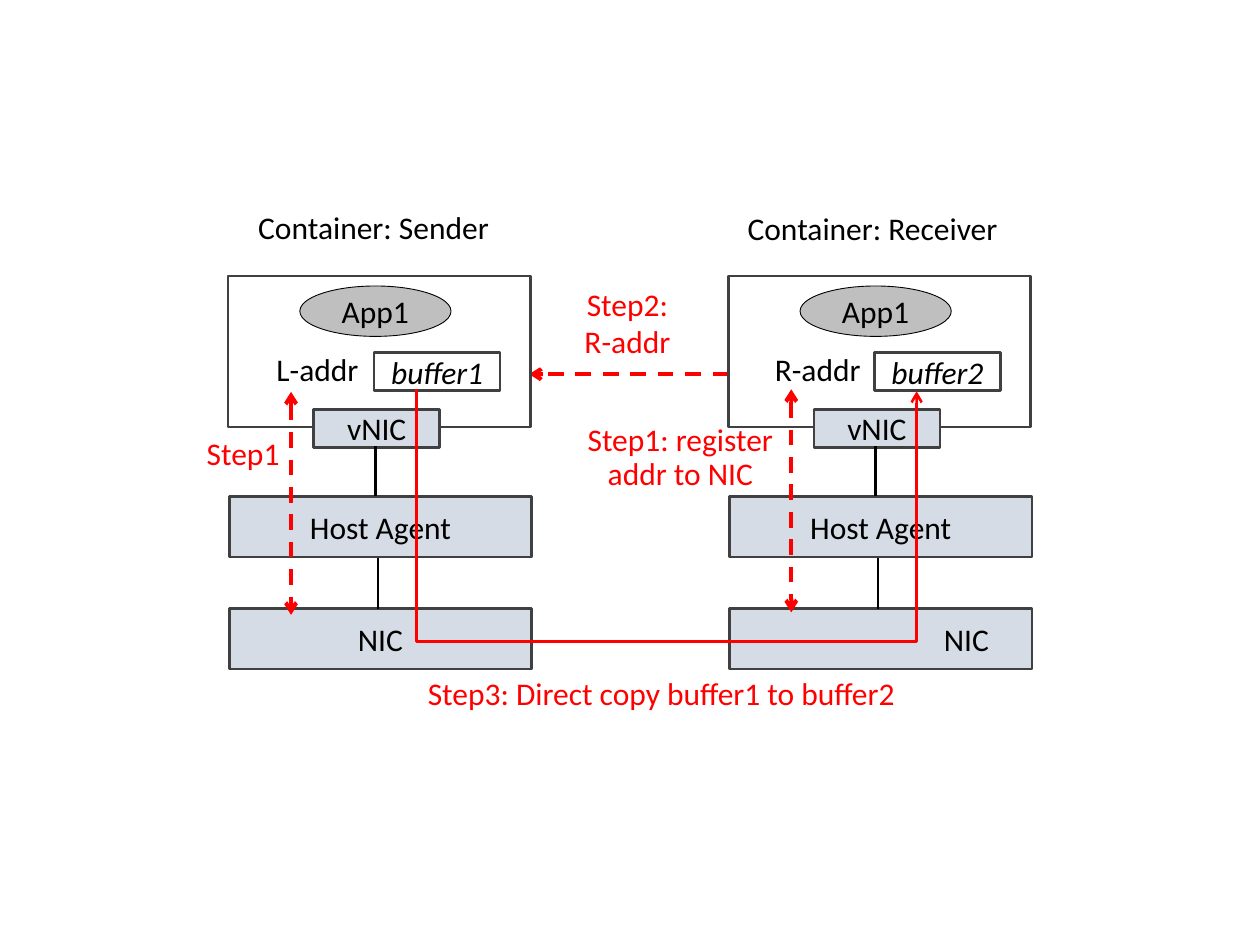
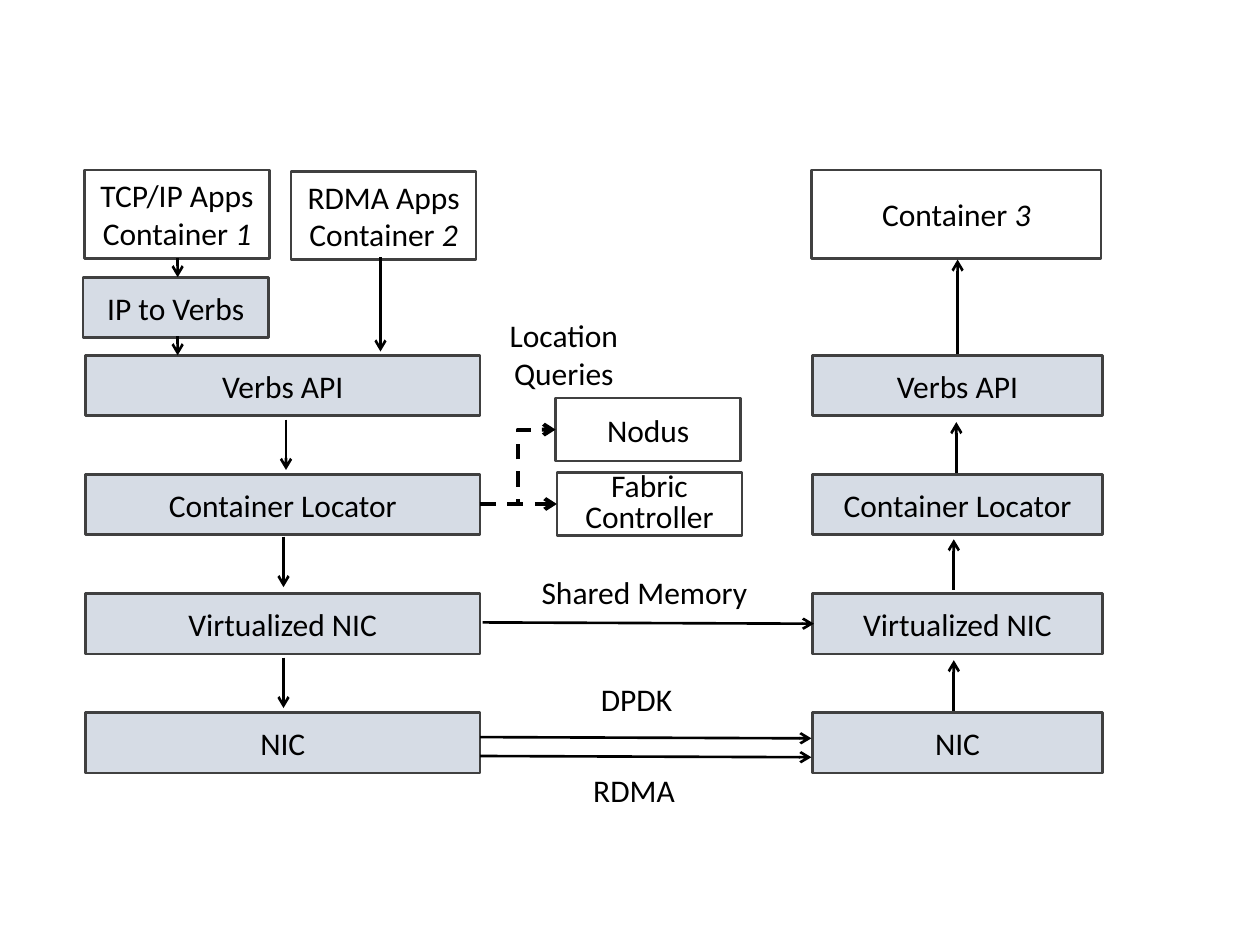
from dataclasses import dataclass
from typing import Optional

from lxml.etree import SubElement
from pptx import Presentation
from pptx.dml.color import RGBColor
from pptx.enum.dml import MSO_LINE
from pptx.enum.shapes import MSO_CONNECTOR, MSO_SHAPE
from pptx.enum.text import MSO_ANCHOR, PP_ALIGN
from pptx.oxml.ns import qn
from pptx.shapes.connector import Connector
from pptx.slide import Slide
from pptx.text.text import TextFrame
from pptx.util import Inches, Pt

BLACK = RGBColor(0x00, 0x00, 0x00)
WHITE = RGBColor(0xFF, 0xFF, 0xFF)
RED = RGBColor(0xFF, 0x00, 0x00)
OUTLINE = RGBColor(0x40, 0x40, 0x40)
LAYER_BLUE = RGBColor(0xD6, 0xDC, 0xE5)
APP_GREY = RGBColor(0xBF, 0xBF, 0xBF)
FONT = "Calibri"
FONT_SIZE = 18
THIN, THICK = 1.5, 2.25
LAYER_HEIGHT = 0.48
HOST_PITCH = 3.97
FIRST_LAYER_TOP = 2.82
LAYER_PITCH = 0.945
LAYERS = ("Verbs API", "Container Locator", "Virtualized NIC", "NIC")


@dataclass(frozen=True)
class Box:
    left: float
    top: float
    width: float
    height: float
    text: str = ""
    italic_end: str = ""
    fill: Optional[RGBColor] = None
    shape: MSO_SHAPE = MSO_SHAPE.RECTANGLE
    outline: RGBColor = OUTLINE
    line_width: float = THIN
    spacing: Optional[float] = None
    left_margin: float = 0.1


@dataclass(frozen=True)
class Label:
    left: float
    top: float
    width: float
    height: float
    text: str
    color: RGBColor = BLACK
    align: PP_ALIGN = PP_ALIGN.CENTER
    spacing: Optional[float] = None


@dataclass(frozen=True)
class Link:
    x1: float
    y1: float
    x2: float
    y2: float
    color: RGBColor = BLACK
    width: float = THIN
    dashed: bool = False
    head: bool = False
    tail: bool = True
    route: MSO_CONNECTOR = MSO_CONNECTOR.STRAIGHT


def write(frame: TextFrame, text: str, italic_end: str, color: RGBColor,
          align: PP_ALIGN, spacing: Optional[float]) -> None:
    frame.word_wrap = True
    frame.text = text
    if italic_end:
        ending = frame.paragraphs[-1].add_run()
        ending.text = italic_end
        ending.font.italic = True
    for paragraph in frame.paragraphs:
        paragraph.alignment = align
        if spacing:
            paragraph.line_spacing = spacing
        for run in paragraph.runs:
            run.font.name = FONT
            run.font.size = Pt(FONT_SIZE)
            run.font.color.rgb = color


def draw_box(slide: Slide, box: Box) -> None:
    shape = slide.shapes.add_shape(box.shape, Inches(box.left), Inches(box.top),
                                   Inches(box.width), Inches(box.height))
    shape.shadow.inherit = False
    if box.fill is None:
        shape.fill.background()
    else:
        shape.fill.solid()
        shape.fill.fore_color.rgb = box.fill
    shape.line.color.rgb = box.outline
    shape.line.width = Pt(box.line_width)
    if box.text or box.italic_end:
        frame = shape.text_frame
        frame.vertical_anchor = MSO_ANCHOR.MIDDLE
        frame.margin_left = Inches(box.left_margin)
        write(frame, box.text, box.italic_end, BLACK, PP_ALIGN.CENTER, box.spacing)


def draw_label(slide: Slide, label: Label) -> None:
    frame = slide.shapes.add_textbox(Inches(label.left), Inches(label.top),
                                     Inches(label.width), Inches(label.height)).text_frame
    write(frame, label.text, "", label.color, label.align, label.spacing)


def draw_link(slide: Slide, link: Link) -> Connector:
    connector = slide.shapes.add_connector(link.route, Inches(link.x1), Inches(link.y1),
                                           Inches(link.x2), Inches(link.y2))
    connector.line.color.rgb = link.color
    connector.line.width = Pt(link.width)
    if link.dashed:
        connector.line.dash_style = MSO_LINE.DASH
    properties = connector._element.spPr
    for end, wanted in (("a:headEnd", link.head), ("a:tailEnd", link.tail)):
        if wanted:
            SubElement(properties.find(qn("a:ln")), qn(end), type="arrow")
    SubElement(properties, qn("a:effectLst"))
    return connector


def draw_host(slide: Slide, x: float, address: str, buffer: str, nic_margin: float) -> None:
    for box in (
        Box(x, 2.19, 2.4, 1.2),
        Box(x + 0.68, 3.25, 1, 0.3, "vNIC", fill=LAYER_BLUE),
        Box(x + 0.01, 3.94, 2.4, LAYER_HEIGHT, "Host Agent", fill=LAYER_BLUE),
        Box(x + 0.57, 2.27, 1.2, 0.4, "App1", fill=APP_GREY, shape=MSO_SHAPE.OVAL,
            outline=BLACK, line_width=0.5),
        Box(x + 1.16, 2.8, 1, 0.3, italic_end=buffer),
        Box(x + 0.01, 4.83, 2.4, LAYER_HEIGHT, "NIC", fill=LAYER_BLUE, left_margin=nic_margin),
    ):
        draw_box(slide, box)
    draw_label(slide, Label(x + 0.26, 2.73, 0.9, 0.4, address))
    for offset, top in ((1.17, 3.54), (1.19, 4.43)):
        draw_link(slide, Link(x + offset, top, x + offset, top + 0.4, tail=False))


def draw_buffer_copy(slide: Slide) -> None:
    copy_route = draw_link(slide, Link(5.3, 1.11, 5.28, 1.11 + HOST_PITCH, RED,
                                       route=MSO_CONNECTOR.ELBOW))
    properties = copy_route._element.spPr
    properties.find(qn("a:xfrm")).set("rot", str(270 * 60000))
    adjustments = properties.find(qn("a:prstGeom")).get_or_add_avLst()
    SubElement(adjustments, qn("a:gd"), name="adj1", fmla=f"val {100 * 100000}")


def build_transfer_slide(slide: Slide) -> None:
    sender = 1.81
    receiver = sender + HOST_PITCH
    draw_link(slide, Link(receiver, 2.97, 4.2, 2.97, RED, THICK, dashed=True))
    draw_host(slide, sender, "L-addr", "buffer1", 0.1)
    draw_host(slide, receiver, "R-addr", "buffer2", 1.46)
    for host, top in ((sender, 3.11), (receiver, 3.09)):
        draw_link(slide, Link(host + 0.5, top, host + 0.5, top + 1.77, RED, THICK,
                              dashed=True, head=True))
    draw_buffer_copy(slide)
    for label in (
        Label(4.4, 3.32, 2, 0.65, "Step1: register\naddr to NIC", RED, spacing=0.9),
        Label(4.16, 2.21, 1.64, 0.71, "Step2:\nR-addr", RED),
        Label(2.9, 5.3, 4.7, 0.4, "Step3: Direct copy buffer1 to buffer2", RED),
        Label(1.84, 1.66, 2.25, 0.35, "Container: Sender", spacing=0.8),
        Label(5.8, 1.67, 2.25, 0.35, "Container: Receiver", spacing=0.8),
        Label(1.46, 3.43, 0.94, 0.38, "Step1", RED, spacing=0.9),
    ):
        draw_label(slide, label)


def build_stack_slide(slide: Slide) -> None:
    for left, width in ((0.68, 3.13), (6.45, 2.3)):
        for row, layer in enumerate(LAYERS):
            draw_box(slide, Box(left, FIRST_LAYER_TOP + row * LAYER_PITCH, width,
                                LAYER_HEIGHT, layer, fill=LAYER_BLUE))
    for box in (
        Box(0.67, 1.35, 1.47, 0.7, "TCP/IP Apps\nContainer ", "1"),
        Box(2.31, 1.36, 1.47, 0.7, "RDMA Apps\nContainer ", "2"),
        Box(6.44, 1.35, 2.3, 0.7, "Container ", "3"),
        Box(0.66, 2.2, 1.47, LAYER_HEIGHT, "IP to Verbs", fill=LAYER_BLUE),
        Box(4.41, 3.16, 1.47, 0.5, "Nodus", fill=WHITE),
        Box(4.42, 3.75, 1.47, 0.5, "Fabric Controller", fill=WHITE, spacing=0.8),
    ):
        draw_box(slide, box)
    for x, start, end in (
        (1.41, 2.05, 2.2), (1.41, 2.67, 2.82), (3.02, 2.04, 2.79),
        (2.27, 3.33, 3.73), (2.25, 4.26, 4.66), (2.25, 5.22, 5.62),
        (7.6, 2.81, 2.06), (7.59, 3.75, 3.35), (7.57, 4.68, 4.28), (7.57, 5.64, 5.24),
    ):
        draw_link(slide, Link(x, start, x, end))
    for start, end, y in ((3.83, 6.46, 4.94), (3.81, 6.44, 5.85), (3.81, 6.44, 6)):
        draw_link(slide, Link(start, y, end, y + 0.01))
    for x, y, route in ((4.42, 4, MSO_CONNECTOR.STRAIGHT), (4.41, 3.41, MSO_CONNECTOR.ELBOW)):
        draw_link(slide, Link(3.81, 4, x, y, width=THICK, dashed=True, route=route))
    for label in (
        Label(3.93, 2.46, 1.09, 0.71, "Location Queries"),
        Label(4.2, 4.5, 2.47, 0.4, "Shared Memory", align=PP_ALIGN.LEFT),
        Label(4.67, 5.35, 0.98, 0.4, "DPDK", align=PP_ALIGN.LEFT),
        Label(4.61, 6.07, 0.98, 0.4, "RDMA", align=PP_ALIGN.LEFT),
    ):
        draw_label(slide, label)


def main() -> None:
    presentation = Presentation()
    presentation.slide_width = Inches(10)
    presentation.slide_height = Inches(7.5)
    blank_layout = presentation.slide_layouts[6]
    for build in (build_transfer_slide, build_stack_slide):
        build(presentation.slides.add_slide(blank_layout))
    presentation.save("out.pptx")


if __name__ == "__main__":
    main()
